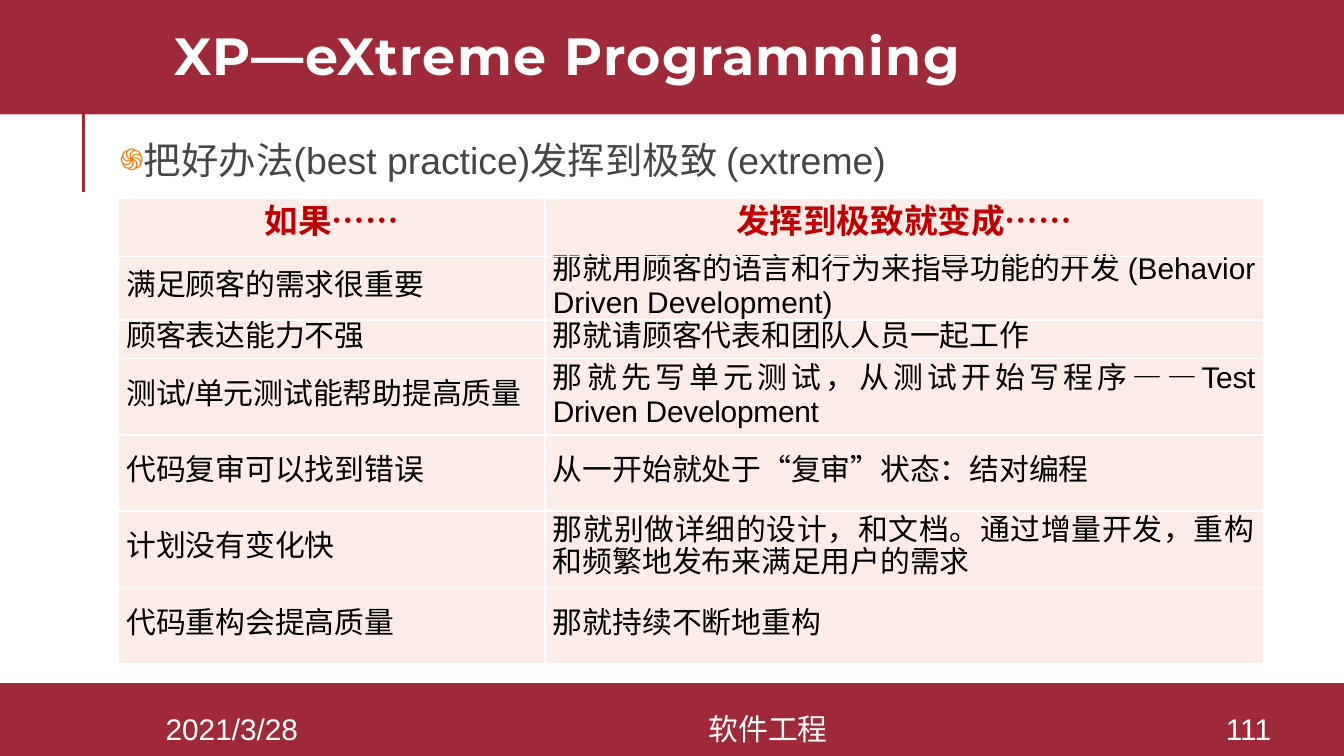
from dataclasses import dataclass

from pptx import Presentation
from pptx.dml.color import RGBColor
from pptx.enum.shapes import MSO_CONNECTOR, MSO_SHAPE
from pptx.enum.text import MSO_ANCHOR, MSO_AUTO_SIZE, PP_ALIGN
from pptx.oxml.ns import qn
from pptx.util import Inches, Pt
from lxml import etree

LEFT, CENTER, JUSTIFY = PP_ALIGN.LEFT, PP_ALIGN.CENTER, PP_ALIGN.JUSTIFY
TOP, MIDDLE = MSO_ANCHOR.TOP, MSO_ANCHOR.MIDDLE
RECTANGLE, STRAIGHT = MSO_SHAPE.RECTANGLE, MSO_CONNECTOR.STRAIGHT
NO_AUTOFIT = MSO_AUTO_SIZE.NONE

COLORS = {
    "band": "9F2936", "white": "FFFFFF", "body": "464646", "bullet": "F07F09",
    "header": "C00000", "cell": "FCECE7", "black": "000000",
}
WIDTH = Inches(10)
HEIGHT = WIDTH * 9 // 16


@dataclass(frozen=True)
class Box:
    """A frame in percent of the slide's width and height."""
    left: float
    top: float
    width: float
    height: float

    def lengths(self) -> tuple:
        return (across(self.left), down(self.top), across(self.width), down(self.height))


@dataclass(frozen=True)
class Style:
    size: float
    color: str
    font: str = "Arial"
    bold: bool = False


@dataclass(frozen=True)
class Piece:
    text: str
    spacing: float = 0


@dataclass(frozen=True)
class FooterItem:
    text: str
    left: float
    width: float


@dataclass(frozen=True)
class Practice:
    height: float
    condition: str
    extreme: tuple


TITLE_STYLE = Style(28, "white", "Montserrat", True)
BODY_STYLE = Style(20, "body")
HEADER_STYLE = Style(18, "header", bold=True)
CELL_STYLE = Style(16, "black")
FOOTER_STYLE = Style(16, "white")

BANDS = [Box(0, 90.35, 100, 9.65), Box(0, -0.5, 100, 15.65)]
TITLE_BOX = Box(12, 0, 84.9, 16.1)
BODY_BOX = Box(8.4, 17.96, 85.7, 73.96)
TABLE_BOX = Box(8.8, 26.28, 85.2, 61.5)
COLUMN_WIDTHS = (31.75, 53.45)
FOOTER_TOP, FOOTER_HEIGHT = 94.4, 4.09
TALL_ROW = 10.1

FOOTER = [
    FooterItem("2021/3/28", 8.4, 17.7),
    FooterItem("软件工程", 26.1, 62.1),
    FooterItem("111", 88.9, 8),
]
PRACTICES = [
    Practice(7.64, "如果……", (Piece("发挥到极致就变成……"),)),
    Practice(6.22, "满足顾客的需求很重要",
             (Piece("那就用顾客的语言和行为来指导功能的开发 (Behavior Driven Development)"),)),
    Practice(5.1, "顾客表达能力不强", (Piece("那就请顾客代表和团队人员一起工作"),)),
    Practice(TALL_ROW, "测试/单元测试能帮助提高质量",
             (Piece("那"), Piece("就先写单元测试，从测试开始写程序", -0.1),
              Piece("—", -1), Piece("—Test Driven Development", -0.1))),
    Practice(TALL_ROW, "代码复审可以找到错误",
             (Piece("从一开始就处于“复审”状态：结对编程"),)),
    Practice(TALL_ROW, "计划没有变化快",
             (Piece("那就别做详细的设计，和文档。通过增量开发，重构和频繁地发布来满足用户的需求"),)),
    Practice(TALL_ROW, "代码重构会提高质量", (Piece("那就持续不断地重构"),)),
]


def across(percent: float) -> int:
    return round(WIDTH * percent / 100)


def down(percent: float) -> int:
    return round(HEIGHT * percent / 100)


def rgb(name: str) -> RGBColor:
    return RGBColor.from_string(COLORS[name])


def add_run(paragraph, piece: Piece, style: Style) -> None:
    run = paragraph.add_run()
    run.text = piece.text
    run.font.size = Pt(style.size)
    run.font.name = style.font
    run.font.bold = style.bold
    run.font.color.rgb = rgb(style.color)
    if piece.spacing:
        run.font._element.set("spc", str(round(piece.spacing * 100)))


def set_frame(shape, anchor, inset: float) -> None:
    frame = shape.text_frame
    frame.word_wrap = True
    frame.auto_size = NO_AUTOFIT
    frame.vertical_anchor = anchor
    frame.margin_left = frame.margin_right = Inches(inset)
    frame.margin_top = frame.margin_bottom = Inches(inset)


def place(shape, box: Box) -> None:
    shape.left, shape.top, shape.width, shape.height = box.lengths()


def add_backdrop(slide) -> None:
    """Draw the side rule and the bands behind the title."""
    x = across(6.22)
    rule = slide.shapes.add_connector(STRAIGHT, x, down(25.42), x, down(12.09))
    rule.line.color.rgb = rgb("band")
    rule.line.width = Pt(1.5)
    etree.SubElement(rule.element.spPr, qn("a:effectLst"))
    slide.shapes.title.element.addprevious(rule.element)
    for box in BANDS:
        band = slide.shapes.add_shape(RECTANGLE, *box.lengths())
        band.shadow.inherit = False
        band.fill.solid()
        band.fill.fore_color.rgb = rgb("band")
        band.line.fill.background()
        slide.shapes.title.element.addprevious(band.element)


def fill_title(title) -> None:
    place(title, TITLE_BOX)
    set_frame(title, MIDDLE, 0.1)
    paragraph = title.text_frame.paragraphs[0]
    paragraph.alignment = LEFT
    paragraph.line_spacing = 0.8
    add_run(paragraph, Piece("XP—eXtreme Programming", 0.8), TITLE_STYLE)


def add_bullet(paragraph) -> None:
    properties = paragraph._p.get_or_add_pPr()
    indent = Inches(0.18)
    properties.set("marL", str(indent))
    properties.set("indent", str(-indent))
    color = etree.SubElement(properties, qn("a:buClr"))
    etree.SubElement(color, qn("a:srgbClr"), val=COLORS["bullet"])
    etree.SubElement(properties, qn("a:buSzPct"), val="80000")
    etree.SubElement(properties, qn("a:buChar"), char="֍")


def fill_body(body) -> None:
    place(body, BODY_BOX)
    set_frame(body, TOP, 0.05)
    paragraph = body.text_frame.paragraphs[0]
    add_bullet(paragraph)
    paragraph.alignment = LEFT
    paragraph.line_spacing = 0.9
    paragraph.space_before = Pt(0)
    paragraph.space_after = Pt(1.5)
    add_run(paragraph, Piece("把好办法(best practice)发挥到极致 (extreme)"), BODY_STYLE)


def fill_cell(cell, pieces: tuple, style: Style, alignment) -> None:
    properties = cell._tc.get_or_add_tcPr()
    for side in ("lnL", "lnR", "lnT", "lnB"):
        border = etree.SubElement(properties, qn(f"a:{side}"), w=str(Pt(1)))
        solid = etree.SubElement(border, qn("a:solidFill"))
        etree.SubElement(solid, qn("a:srgbClr"), val=COLORS["white"])
    cell.fill.solid()
    cell.fill.fore_color.rgb = rgb("cell")
    cell.vertical_anchor = MIDDLE
    cell.margin_left = cell.margin_right = Inches(0.06)
    cell.margin_top = cell.margin_bottom = 0
    paragraph = cell.text_frame.paragraphs[0]
    paragraph.alignment = alignment
    paragraph.line_spacing = Pt(17)
    for piece in pieces:
        add_run(paragraph, piece, style)


def add_practices(slide) -> None:
    table = slide.shapes.add_table(len(PRACTICES), 2, *TABLE_BOX.lengths()).table
    table.horz_banding = False
    for column, width in zip(table.columns, COLUMN_WIDTHS):
        column.width = across(width)
    for index, practice in enumerate(PRACTICES):
        table.rows[index].height = down(practice.height)
        style, alignment = (CELL_STYLE, JUSTIFY) if index else (HEADER_STYLE, CENTER)
        fill_cell(table.cell(index, 0), (Piece(practice.condition),), style, alignment)
        fill_cell(table.cell(index, 1), practice.extreme, style, alignment)


def add_footer(slide, item: FooterItem) -> None:
    box = Box(item.left, FOOTER_TOP, item.width, FOOTER_HEIGHT)
    shape = slide.shapes.add_textbox(*box.lengths())
    set_frame(shape, MIDDLE, 0)
    paragraph = shape.text_frame.paragraphs[0]
    paragraph.alignment = CENTER
    add_run(paragraph, Piece(item.text), FOOTER_STYLE)


def main() -> None:
    presentation = Presentation()
    presentation.slide_width, presentation.slide_height = WIDTH, HEIGHT
    slide = presentation.slides.add_slide(presentation.slide_layouts[1])
    add_backdrop(slide)
    fill_title(slide.shapes.title)
    fill_body(slide.placeholders[1])
    add_practices(slide)
    for item in FOOTER:
        add_footer(slide, item)
    presentation.save("out.pptx")


if __name__ == "__main__":
    main()
